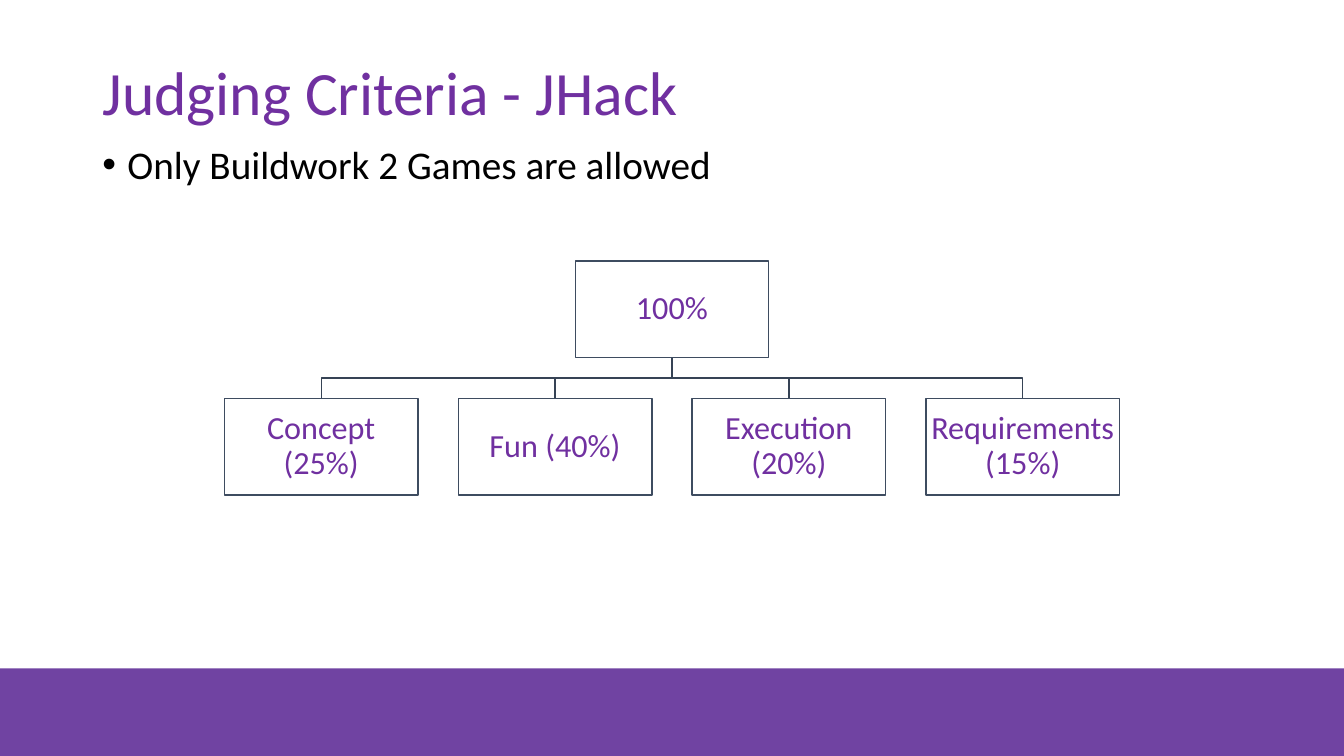
import dataclasses

import lxml.etree
import pptx
import pptx.dml.color
import pptx.enum.shapes
import pptx.enum.text
import pptx.oxml.ns
import pptx.util

Pt = pptx.util.Pt
RGBColor = pptx.dml.color.RGBColor
PP_ALIGN = pptx.enum.text.PP_ALIGN
MSO_ANCHOR = pptx.enum.text.MSO_ANCHOR
RECTANGLE = pptx.enum.shapes.MSO_SHAPE.RECTANGLE


@dataclasses.dataclass(frozen=True)
class Theme:
    font: str = "Calibri"
    purple: RGBColor = RGBColor(0x70, 0x30, 0xA0)
    band: RGBColor = RGBColor(0x70, 0x43, 0xA2)
    black: RGBColor = RGBColor(0, 0, 0)
    white: RGBColor = RGBColor(255, 255, 255)
    outline: RGBColor = RGBColor(0x3E, 0x4C, 0x60)
    link: RGBColor = RGBColor(0x36, 0x43, 0x55)
    title_size: int = 44
    body_size: int = 28
    node_size: int = 23


THEME = Theme()
PAGE_WIDTH, PAGE_HEIGHT = 960, 540

# Tree geometry in points
NODE_WIDTH, NODE_HEIGHT = 138.24, 69.12
NODE_PITCH = 167.04
ROOT_CENTER = 480
ROOT_TOP, CHILD_TOP = 186.5, 284.6
CRITERIA = ["Concept (25%)", "Fun (40%)", "Execution (20%)", "Requirements (15%)"]


def set_values(target, values):
    for name, value in values.items():
        setattr(target, name, value)


def write_text(shape, text, size, color, frame_format, para_format):
    """Fill a shape with one formatted paragraph and return it."""
    frame = shape.text_frame
    set_values(frame, {"word_wrap": True, **frame_format})
    para = frame.paragraphs[0]
    set_values(para, para_format)
    span = para.add_run()
    span.text = text
    set_values(span.font, {"name": THEME.font, "size": Pt(size)})
    span.font.color.rgb = color
    return para


def add_title(page, text):
    title = page.shapes.title
    set_values(title, {"left": Pt(66), "top": Pt(28.8), "width": Pt(828), "height": Pt(79.2)})
    write_text(title, text, THEME.title_size, THEME.purple,
               {"vertical_anchor": MSO_ANCHOR.MIDDLE},
               {"alignment": PP_ALIGN.LEFT, "line_spacing": 0.9})


def add_bullet(page, text):
    box = page.shapes.add_textbox(Pt(66), Pt(97), Pt(828), Pt(50))
    para = write_text(box, text, THEME.body_size, THEME.black, {}, {})
    properties = para._p.get_or_add_pPr()
    properties.set("marL", str(Pt(18)))
    properties.set("indent", str(-Pt(18)))
    for tag, name, value in (("a:buFont", "typeface", "Arial"), ("a:buChar", "char", "•")):
        lxml.etree.SubElement(properties, pptx.oxml.ns.qn(tag)).set(name, value)


def add_rectangle(page, left, top, width, height, fill, outline=None):
    shape = page.shapes.add_shape(RECTANGLE, Pt(left), Pt(top), Pt(width), Pt(height))
    shape.shadow.inherit = False
    shape.fill.solid()
    shape.fill.fore_color.rgb = fill
    if outline is None:
        shape.line.fill.background()
    else:
        shape.line.color.rgb = outline
        shape.line.width = Pt(1)
    return shape


def add_node(page, center, top, text):
    node = add_rectangle(page, center - NODE_WIDTH / 2, top, NODE_WIDTH, NODE_HEIGHT,
                         THEME.white, THEME.outline)
    margins = {f"margin_{side}": Pt(1.5) for side in ("left", "top", "right", "bottom")}
    write_text(node, text, THEME.node_size, THEME.purple,
               {"vertical_anchor": MSO_ANCHOR.MIDDLE, **margins},
               {"alignment": PP_ALIGN.CENTER, "line_spacing": 0.9})


def add_branch(page, child_center):
    """Draw the elbow from the root down to one child."""
    root_bottom = ROOT_TOP + NODE_HEIGHT
    middle = (root_bottom + CHILD_TOP) / 2
    builder = page.shapes.build_freeform(Pt(ROOT_CENTER), Pt(root_bottom))
    corners = [(ROOT_CENTER, middle), (child_center, middle), (child_center, CHILD_TOP)]
    builder.add_line_segments([(Pt(x), Pt(y)) for x, y in corners], close=False)
    branch = builder.convert_to_shape()
    branch.shadow.inherit = False
    branch.fill.background()
    branch.line.color.rgb = THEME.link
    branch.line.width = Pt(1)


def add_tree(page, root, children):
    first = ROOT_CENTER - NODE_PITCH * (len(children) - 1) / 2
    centers = [first + NODE_PITCH * index for index in range(len(children))]
    for center in centers:
        add_branch(page, center)
    add_node(page, ROOT_CENTER, ROOT_TOP, root)
    for center, text in zip(centers, children):
        add_node(page, center, CHILD_TOP, text)


def main():
    deck = pptx.Presentation()
    deck.slide_width, deck.slide_height = Pt(PAGE_WIDTH), Pt(PAGE_HEIGHT)
    page = deck.slides.add_slide(deck.slide_layouts[5])

    # Footer band
    add_rectangle(page, 0, 477.4, PAGE_WIDTH, PAGE_HEIGHT - 477.4, THEME.band)

    # Heading and rule
    add_title(page, "Judging Criteria - JHack")
    add_bullet(page, "Only Buildwork 2 Games are allowed")

    # Criteria tree
    add_tree(page, "100%", CRITERIA)

    deck.save("out.pptx")


if __name__ == "__main__":
    main()
